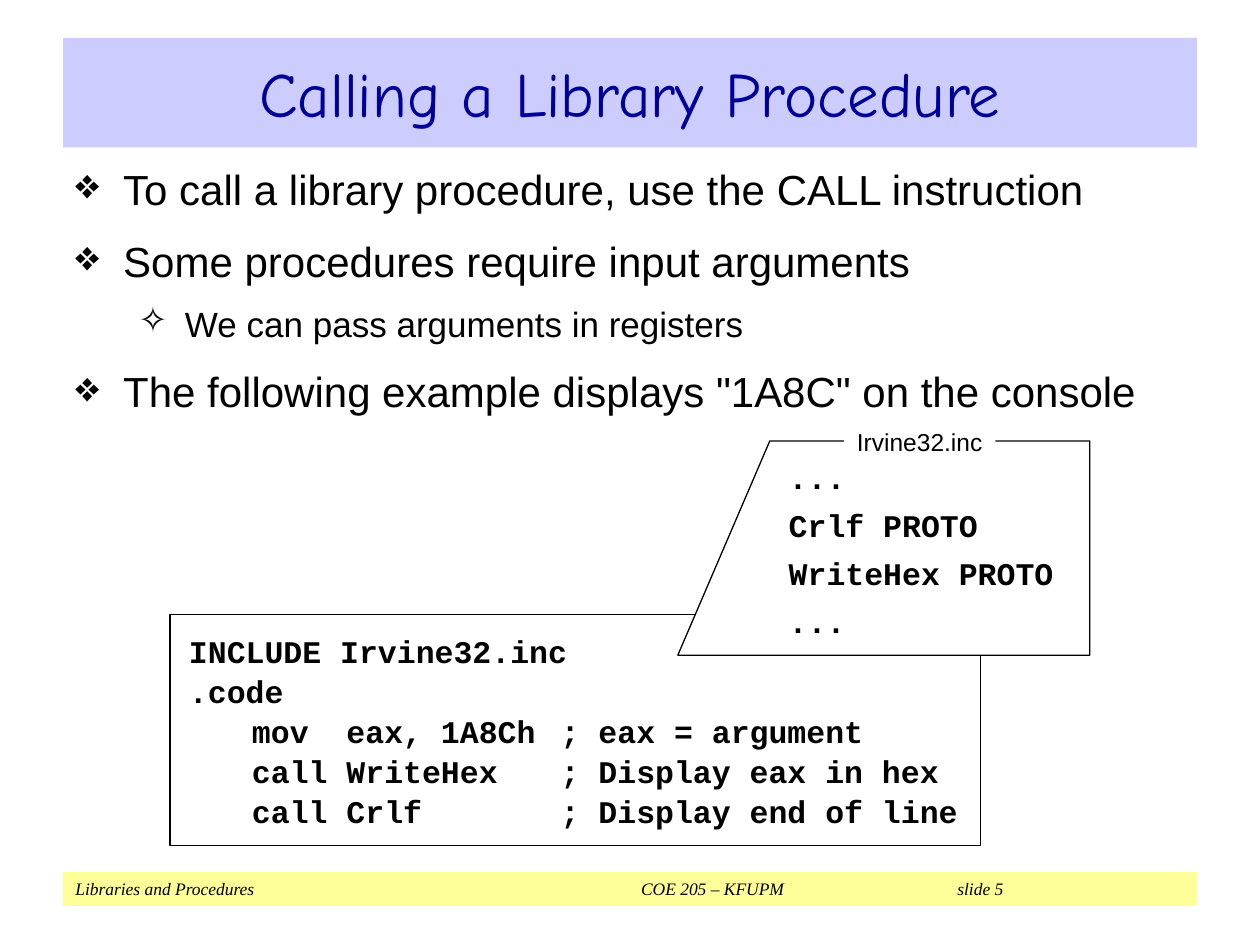
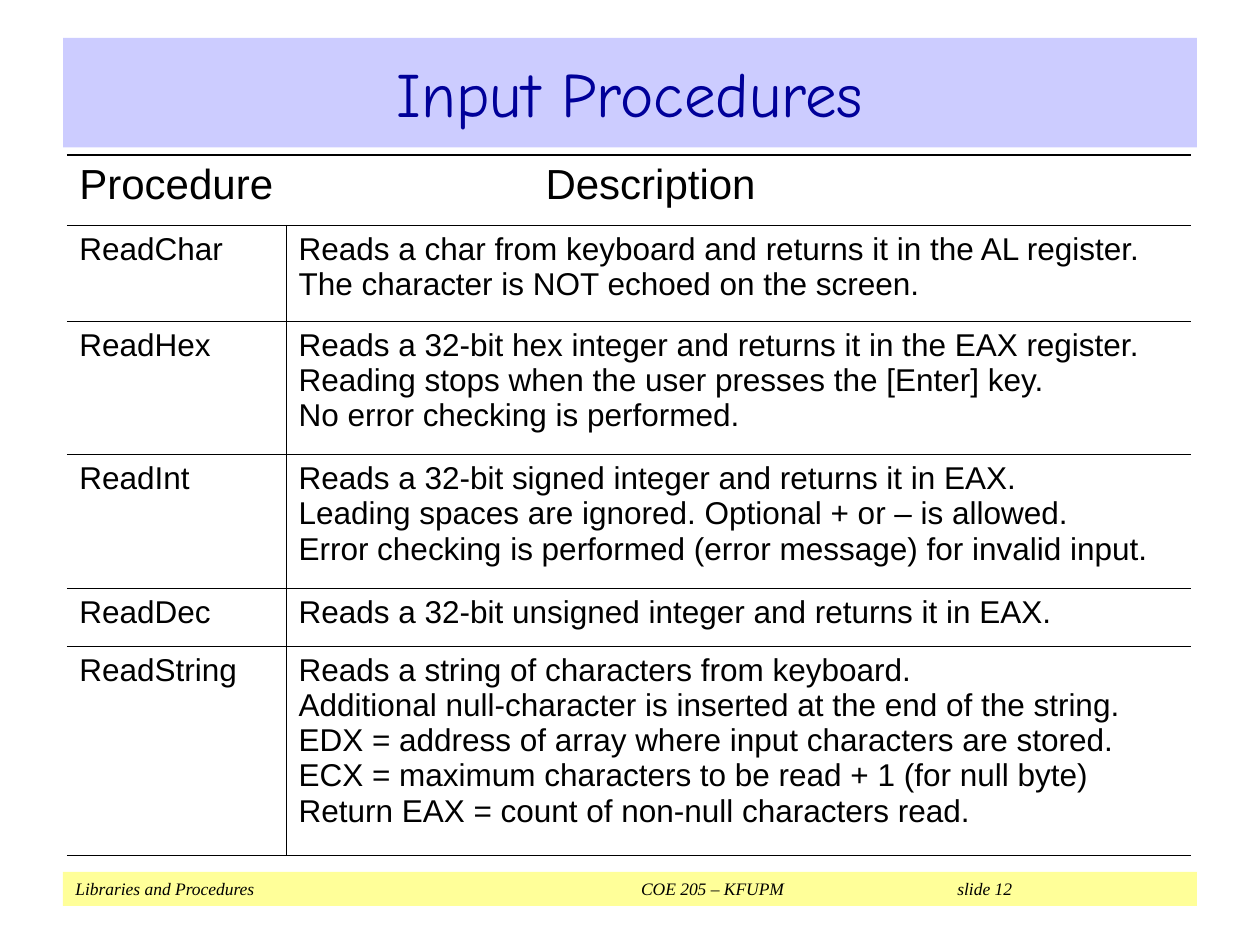
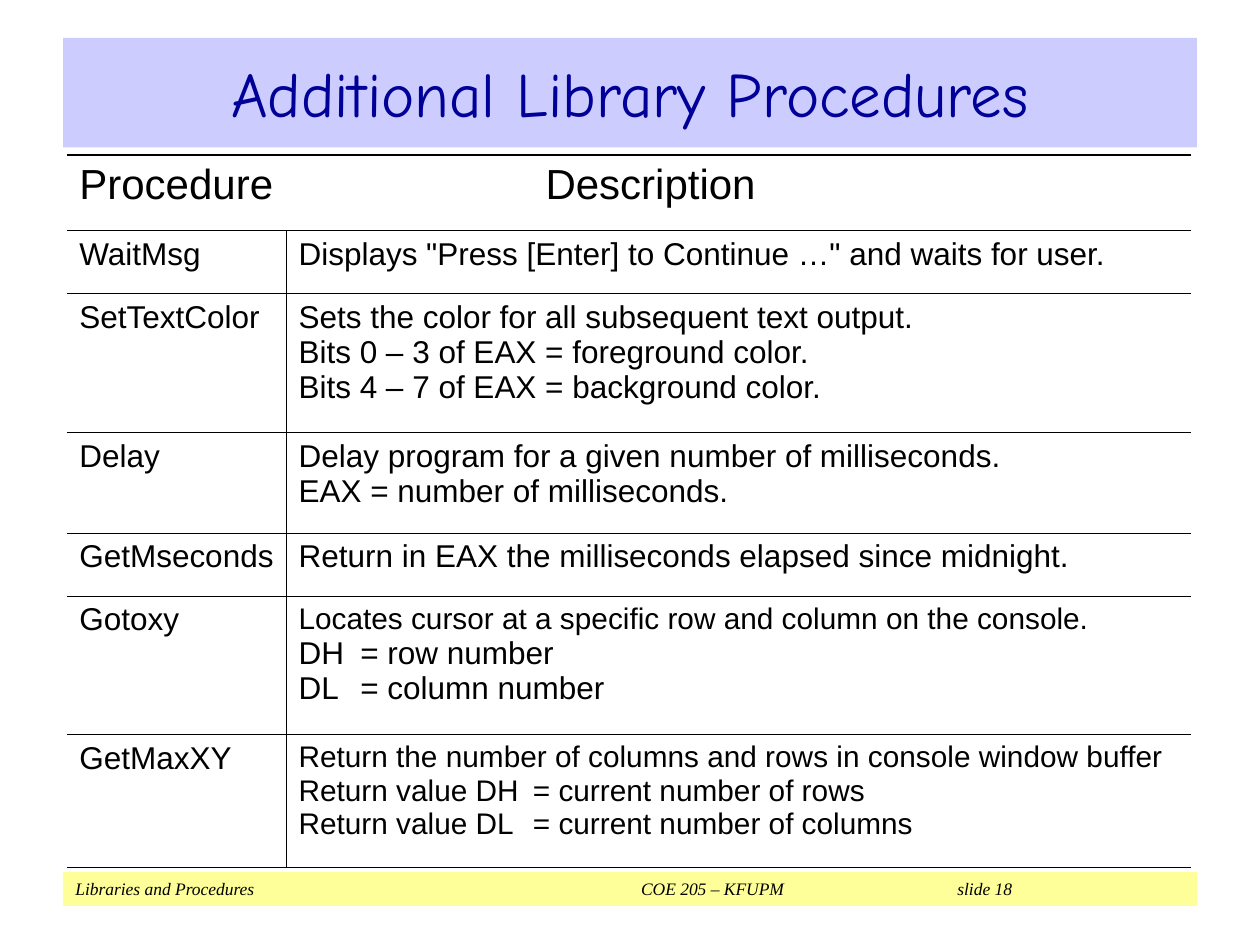
from dataclasses import dataclass

from lxml.etree import SubElement
from pptx import Presentation
from pptx.dml.color import RGBColor
from pptx.enum.text import MSO_ANCHOR, PP_ALIGN
from pptx.oxml.ns import qn
from pptx.util import Inches, Pt


@dataclass(frozen=True)
class Theme:
    ink: str = "000000"
    paper: str = "FFFFFF"
    title_ink: str = "000099"
    title_band: str = "CCCCFF"
    footer_band: str = "FFFF99"
    body_font: str = "Arial"
    title_font: str = "Comic Neue"
    code_font: str = "Courier New"
    footer_font: str = "Times New Roman"
    title_size: float = 36
    heading_size: float = 24
    detail_size: float = 20
    text_size: float = 18
    small_size: float = 17
    label_size: float = 14
    footer_size: float = 10
    outline: float = 0.75
    cell_line: float = 0.45


@dataclass(frozen=True)
class Procedure:
    name: str
    height: float
    lines: tuple
    small_lines: int = 0
    tab: float = 0


@dataclass(frozen=True)
class BulletLevel:
    mark: str
    indent: float
    hanging: float
    size: float
    space_before: float


THEME = Theme()
BAND_LEFT, BAND_WIDTH = 0.5, 9
CODE_TABS = (0.5, 2.95)
BULLET_LEVELS = (
    BulletLevel("❖", 0.38, 0.38, THEME.heading_size, 12),
    BulletLevel("✧", 0.87, 0.37, THEME.detail_size, 10),
)


class Deck:
    def __init__(self, theme):
        self.theme = theme
        self.presentation = Presentation()
        self.presentation.slide_width = Inches(10)
        self.presentation.slide_height = Inches(7.5)
        self.slide = None

    def new_slide(self, title, number):
        self.slide = self.presentation.slides.add_slide(self.presentation.slide_layouts[5])
        self.footer(number)
        self.title(title)

    def title(self, text):
        theme = self.theme
        heading = self.slide.shapes.title
        heading.left, heading.top = Inches(BAND_LEFT), Inches(0.3)
        heading.width, heading.height = Inches(BAND_WIDTH), Inches(0.87)
        self.paint(heading, theme.title_band)
        frame = heading.text_frame
        frame.text = text
        frame.vertical_anchor = MSO_ANCHOR.MIDDLE
        frame.paragraphs[0].alignment = PP_ALIGN.CENTER
        self.style(frame.paragraphs[0], theme.title_font, theme.title_size, theme.title_ink)

    def footer(self, number):
        theme = self.theme
        frame = self.box((BAND_LEFT, 6.92, BAND_WIDTH, 0.27), theme.footer_band, margin=0.1)
        frame.text = f"Libraries and Procedures\tCOE 205 – KFUPM\tslide {number}"
        line = frame.paragraphs[0]
        line.alignment = PP_ALIGN.LEFT
        self.style(line, theme.footer_font, theme.footer_size, theme.ink, italic=True)
        self.tabs(line, (4.49, 7))

    def paint(self, shape, fill=None, outlined=False):
        if fill:
            shape.fill.solid()
            shape.fill.fore_color.rgb = RGBColor.from_string(fill)
        else:
            shape.fill.background()
        if outlined:
            shape.line.color.rgb = RGBColor.from_string(self.theme.ink)
            shape.line.width = Pt(self.theme.outline)
        else:
            shape.line.fill.background()
        shape.shadow.inherit = False

    def style(self, paragraph, font, size, color, bold=False, italic=False):
        for run in paragraph.runs:
            run.font.name = font
            run.font.size = Pt(size)
            run.font.color.rgb = RGBColor.from_string(color)
            run.font.bold = bold
            run.font.italic = italic

    def tabs(self, paragraph, stops):
        tab_list = SubElement(paragraph._p.get_or_add_pPr(), qn("a:tabLst"))
        for stop in stops:
            SubElement(tab_list, qn("a:tab"), pos=str(Inches(stop)), algn="l")

    def box(self, place, fill=None, outlined=False, margin=0.15):
        shape = self.slide.shapes.add_shape(1, *map(Inches, place))
        self.paint(shape, fill, outlined)
        frame = shape.text_frame
        frame.margin_left = frame.margin_right = Inches(margin)
        frame.margin_top = frame.margin_bottom = 0
        frame.vertical_anchor = MSO_ANCHOR.MIDDLE
        frame.word_wrap = False
        return frame

    def bullets(self, place, items):
        frame = self.slide.shapes.add_textbox(*map(Inches, place)).text_frame
        frame.word_wrap = True
        frame.text = "\n".join(text for _, text in items)
        for paragraph, (depth, _) in zip(frame.paragraphs, items):
            level = BULLET_LEVELS[depth]
            paragraph.level = depth
            paragraph.space_before = Pt(level.space_before)
            self.style(paragraph, self.theme.body_font, level.size, self.theme.ink)
            properties = paragraph._p.get_or_add_pPr()
            properties.set("marL", str(Inches(level.indent)))
            properties.set("indent", str(-Inches(level.hanging)))
            SubElement(properties, qn("a:buChar"), char=level.mark)

    def code(self, place, lines, fill=None, outlined=False, space_before=0):
        frame = self.box(place, fill, outlined)
        frame.text = "\n".join(lines)
        for line in frame.paragraphs:
            line.alignment = PP_ALIGN.LEFT
            line.line_spacing = 1.06
            line.space_before = Pt(space_before)
            self.style(line, self.theme.code_font, self.theme.text_size, self.theme.ink, bold=True)
            self.tabs(line, CODE_TABS)

    def outline(self, corners):
        start, *others = [(Inches(x), Inches(y)) for x, y in corners]
        builder = self.slide.shapes.build_freeform(*start)
        builder.add_line_segments(others, close=True)
        self.paint(builder.convert_to_shape(), self.theme.paper, outlined=True)

    def label(self, place, text):
        frame = self.box(place, self.theme.paper, margin=0.1)
        frame.text = text
        frame.paragraphs[0].alignment = PP_ALIGN.CENTER
        self.style(frame.paragraphs[0], self.theme.body_font, self.theme.label_size, self.theme.ink)

    def cell(self, cell, lines, sizes, edges):
        cell.text_frame.text = "\n".join(lines)
        cell.margin_right = Inches(0.05)
        for paragraph, size in zip(cell.text_frame.paragraphs, sizes):
            self.style(paragraph, self.theme.body_font, size, self.theme.ink)
        properties = cell._tc.get_or_add_tcPr()
        for side in "LRTB":
            width = edges.get(side, 0)
            line = SubElement(properties, qn(f"a:ln{side}"), w=str(Pt(width)))
            if width:
                fill = SubElement(line, qn("a:solidFill"))
                SubElement(fill, qn("a:srgbClr"), val=self.theme.ink)
            else:
                SubElement(line, qn("a:noFill"))
        cell.fill.background()

    def procedure_table(self, header_height, procedures):
        theme = self.theme
        heights = [header_height] + [procedure.height for procedure in procedures]
        place = map(Inches, (0.53, 1.23, 8.92, sum(heights)))
        table = self.slide.shapes.add_table(len(heights), 2, *place).table
        table.first_row = table.horz_banding = False
        for column, width in zip(table.columns, (1.74, 7.18)):
            column.width = Inches(width)
        for row, height in zip(table.rows, heights):
            row.height = Inches(height)
        header_edges = {"T": theme.outline, "B": theme.outline}
        for column, heading in enumerate(("Procedure", "Description")):
            self.cell(table.cell(0, column), [heading], [theme.heading_size], header_edges)
        description = table.cell(0, 1).text_frame.paragraphs[0]
        description._p.get_or_add_pPr().set("marL", str(Inches(1.96)))
        for index, procedure in enumerate(procedures, 1):
            edges = {"T": theme.outline if index == 1 else theme.cell_line, "B": theme.cell_line}
            name, details = table.cell(index, 0), table.cell(index, 1)
            self.cell(name, [procedure.name], [theme.text_size], edges | {"R": theme.cell_line})
            sizes = [theme.small_size if position < procedure.small_lines else theme.text_size
                     for position in range(len(procedure.lines))]
            self.cell(details, procedure.lines, sizes, edges | {"L": theme.cell_line})
            if procedure.tab:
                for paragraph in details.text_frame.paragraphs:
                    self.tabs(paragraph, [procedure.tab])


INPUT_PROCEDURES = (
    Procedure("ReadChar", 0.76, (
        "Reads a char from keyboard and returns it in the AL register.",
        "The character is NOT echoed on the screen.")),
    Procedure("ReadHex", 1.06, (
        "Reads a 32-bit hex integer and returns it in the EAX register.",
        "Reading stops when the user presses the [Enter] key.",
        "No error checking is performed.")),
    Procedure("ReadInt", 1.06, (
        "Reads a 32-bit signed integer and returns it in EAX.",
        "Leading spaces are ignored. Optional + or – is allowed.",
        "Error checking is performed (error message) for invalid input.")),
    Procedure("ReadDec", 0.46, ("Reads a 32-bit unsigned integer and returns it in EAX.",)),
    Procedure("ReadString", 1.66, (
        "Reads a string of characters from keyboard.",
        "Additional null-character is inserted at the end of the string.",
        "EDX = address of array where input characters are stored.",
        "ECX = maximum characters to be read + 1 (for null byte)",
        "Return EAX = count of non-null characters read.")),
)

ADDITIONAL_PROCEDURES = (
    Procedure("WaitMsg", 0.5, ('Displays "Press [Enter] to Continue …" and waits for user.',)),
    Procedure("SetTextColor", 1.1, (
        "Sets the color for all subsequent text output.",
        "Bits 0 – 3 of EAX = foreground color.",
        "Bits 4 – 7 of EAX = background color.")),
    Procedure("Delay", 0.8, (
        "Delay program for a given number of milliseconds.",
        "EAX = number of milliseconds.")),
    Procedure("GetMseconds", 0.5, ("Return in EAX the milliseconds elapsed since midnight.",)),
    Procedure("Gotoxy", 1.1, (
        "Locates cursor at a specific row and column on the console.",
        "DH\t= row number",
        "DL\t= column number"), small_lines=1, tab=0.49),
    Procedure("GetMaxXY", 1.05, (
        "Return the number of columns and rows in console window buffer",
        "Return value DH\t= current number of rows",
        "Return value DL\t= current number of columns"), small_lines=3, tab=1.86),
)


def calling_slide(deck):
    deck.new_slide("Calling a Library Procedure", 5)
    deck.bullets((BAND_LEFT, 1.25, BAND_WIDTH, 5.63), (
        (0, "To call a library procedure, use the CALL instruction"),
        (0, "Some procedures require input arguments"),
        (1, "We can pass arguments in registers"),
        (0, 'The following example displays "1A8C" on the console'),
    ))
    deck.code((1.35, 4.88, 6.43, 1.83), (
        "INCLUDE Irvine32.inc",
        ".code",
        "\tmov  eax, 1A8Ch\t; eax = argument",
        "\tcall WriteHex\t; Display eax in hex",
        "\tcall Crlf\t; Display end of line",
    ), outlined=True)
    deck.outline(((5.38, 5.2), (6.11, 3.5), (8.65, 3.5), (8.65, 5.2)))
    deck.code((6.11, 3.56, 2.49, 1.57), ("...", "Crlf PROTO", "WriteHex PROTO", "..."),
              space_before=4.5)
    deck.label((6.7, 3.39, 1.2, 0.23), "Irvine32.inc")


def main():
    deck = Deck(THEME)
    calling_slide(deck)
    deck.new_slide("Input Procedures", 12)
    deck.procedure_table(0.56, INPUT_PROCEDURES)
    deck.new_slide("Additional Library Procedures", 18)
    deck.procedure_table(0.6, ADDITIONAL_PROCEDURES)
    deck.presentation.save("out.pptx")


if __name__ == "__main__":
    main()
